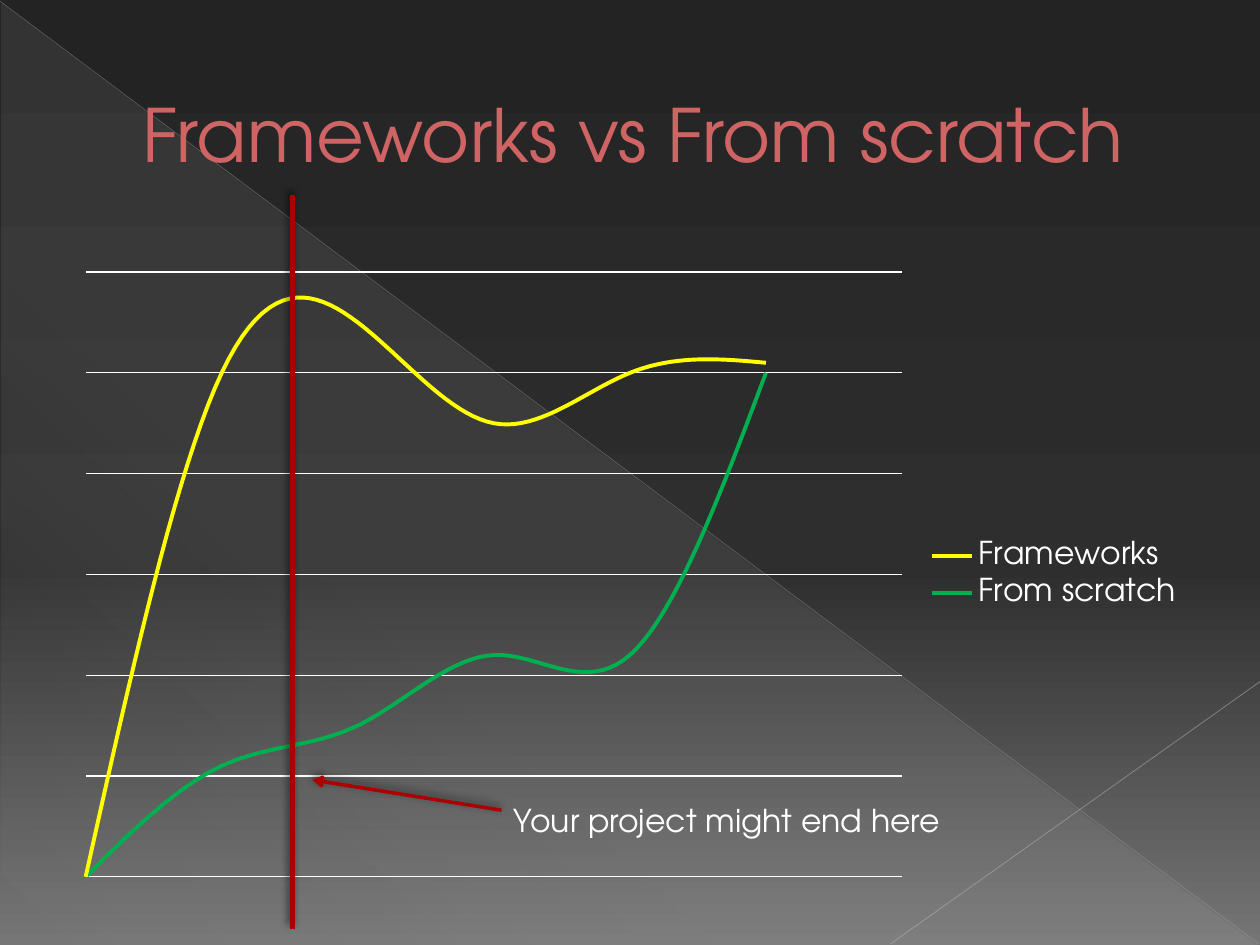
from lxml import etree
from pptx import Presentation
from pptx.chart.data import XyChartData
from pptx.dml.color import RGBColor
from pptx.enum.chart import XL_CHART_TYPE, XL_LEGEND_POSITION
from pptx.enum.shapes import MSO_CONNECTOR, MSO_SHAPE
from pptx.enum.text import MSO_ANCHOR, MSO_AUTO_SIZE
from pptx.oxml.ns import qn
from pptx.util import Inches, Pt

SMOOTH_SCATTER = XL_CHART_TYPE.XY_SCATTER_SMOOTH_NO_MARKERS
LEGEND_RIGHT = XL_LEGEND_POSITION.RIGHT
STRAIGHT = MSO_CONNECTOR.STRAIGHT
RIGHT_TRIANGLE = MSO_SHAPE.RIGHT_TRIANGLE
MIDDLE = MSO_ANCHOR.MIDDLE
FIT_TEXT = MSO_AUTO_SIZE.SHAPE_TO_FIT_TEXT
FONT = "TeX Gyre Adventor"
WHITE = "FFFFFF"
RED = "AD0101"
SERIES = [
    ("Frameworks", "FFFF00", [0, 100, 110, 90, 100, 102]),
    ("From scratch", "00B050", [0, 22, 30, 44, 44, 100]),
]


def color(hex_string):
    """Return the colour for a hex string."""
    return RGBColor.from_string(hex_string)


def add_element(parent, tag, **attributes):
    """Append an XML element with the given attributes."""
    values = {name: str(value) for name, value in attributes.items()}
    return etree.SubElement(parent, qn(tag), values)


def add_color(parent, hex_string, opacity):
    """Append a colour with an opacity in percent."""
    element = add_element(parent, "a:srgbClr", val=hex_string)
    add_element(element, "a:alpha", val=opacity * 1000)


def set_gradient(fill, element, stops, angle):
    """Fill with a linear gradient of (position, colour, opacity) stops."""
    fill.solid()
    solid = element.find(".//" + qn("a:solidFill"))
    gradient = etree.Element(qn("a:gradFill"), rotWithShape="1")
    stop_list = add_element(gradient, "a:gsLst")
    for position, hex_string, opacity in stops:
        stop = add_element(stop_list, "a:gs", pos=position * 1000)
        add_color(stop, hex_string, opacity)
    add_element(gradient, "a:lin", ang=angle * 60000, scaled=0)
    solid.getparent().replace(solid, gradient)


def add_line(shapes, start, end, hex_string, width, opacity=100, arrow=False, shadow=None):
    """Add a straight line with an optional arrowhead and shadow."""
    points = [Inches(value) for value in (*start, *end)]
    connector = shapes.add_connector(STRAIGHT, *points)
    connector.line.color.rgb = color(hex_string)
    connector.line.width = Pt(width)
    properties = connector._element.spPr
    line = properties.find(qn("a:ln"))
    add_element(line.find(".//" + qn("a:srgbClr")), "a:alpha", val=opacity * 1000)
    if arrow:
        add_element(line, "a:tailEnd", type="arrow")
    effects = add_element(properties, "a:effectLst")
    if shadow:
        shadow_opacity, blur, distance = shadow
        outer = add_element(effects, "a:outerShdw", blurRad=Pt(blur), dist=Pt(distance),
                            dir=245 * 60000, rotWithShape=0)
        add_color(outer, "000000", shadow_opacity)


def add_text(shapes, box, text, size, hex_string, wrap):
    """Add a one-paragraph text box and return its frame."""
    shape = shapes.add_textbox(*[Inches(value) for value in box])
    frame = shape.text_frame
    frame.word_wrap = wrap
    paragraph = frame.paragraphs[0]
    paragraph.text = text
    paragraph.font.name = FONT
    paragraph.font.size = Pt(size)
    paragraph.font.color.rgb = color(hex_string)
    return frame


def add_backdrop(slide):
    """Draw the background gradient, the triangle and the diagonal lines."""
    stops = [(0, "232323", 100), (60, "2E2E2E", 100), (100, "757575", 100)]
    set_gradient(slide.background.fill, slide.element, stops, 90)
    triangle = slide.shapes.add_shape(
        RIGHT_TRIANGLE, Inches(0.01), Inches(0.02), Inches(9.98), Inches(7.48))
    triangle.shadow.inherit = False
    triangle.line.fill.background()
    stops = [(0, "DEDEE0", 10), (70, "DEDEE0", 8), (100, "DEDEE0", 1)]
    set_gradient(triangle.fill, triangle._element, stops, 133)
    add_line(slide.shapes, (0, 0.01), (9.99, 7.49), "B6B6B6", 0.39, opacity=35)
    add_line(slide.shapes, (10, 5.41), (7.07, 7.49), "BEBEBE", 0.47, opacity=45)


def add_title(slide):
    """Add the indented slide title."""
    frame = add_text(slide.shapes, (0.5, 0.29, 9, 1.53),
                     "Frameworks vs From scratch", 42, "D06464", True)
    frame.vertical_anchor = MIDDLE
    frame.paragraphs[0]._p.get_or_add_pPr().set("marL", str(Inches(0.53)))


def set_plot_layout(chart, **fractions):
    """Fix the inner plot area as fractions of the chart."""
    plot_area = chart._chartSpace.chart.plotArea
    for old_layout in plot_area.findall(qn("c:layout")):
        plot_area.remove(old_layout)
    layout = etree.Element(qn("c:layout"))
    manual = add_element(layout, "c:manualLayout")
    add_element(manual, "c:layoutTarget", val="inner")
    add_element(manual, "c:xMode", val="edge")
    add_element(manual, "c:yMode", val="edge")
    for name, value in fractions.items():
        add_element(manual, "c:" + name, val=value)
    plot_area.insert(0, layout)


def add_progress_chart(slide):
    """Add the smooth scatter chart of the two approaches."""
    data = XyChartData()
    for name, _, values in SERIES:
        series_data = data.add_series(name)
        for x, y in enumerate(values):
            series_data.add_data_point(x, y)
    chart = slide.shapes.add_chart(
        SMOOTH_SCATTER, Inches(0.5), Inches(2.06), Inches(9), Inches(5), data).chart
    chart.has_title = False
    chart.font.name = FONT
    chart.font.size = Pt(18)
    chart.font.color.rgb = color(WHITE)
    chart.has_legend = True
    chart.legend.position = LEGEND_RIGHT
    chart.legend.include_in_layout = False
    for axis, maximum, step in ((chart.category_axis, 6, 1), (chart.value_axis, 120, 20)):
        axis.minimum_scale = 0
        axis.maximum_scale = maximum
        axis.major_unit = step
        axis.visible = False
    chart.category_axis.has_major_gridlines = False
    chart.value_axis.has_major_gridlines = True
    grid_line = chart.value_axis.major_gridlines.format.line
    grid_line.color.rgb = color(WHITE)
    grid_line.width = Pt(0.75)
    chart.plots[0].vary_by_categories = False
    for series, (_, hex_string, _) in zip(chart.plots[0].series, SERIES):
        series.format.line.color.rgb = color(hex_string)
        series.format.line.width = Pt(2.25)
        smooth = series._element.find(qn("c:smooth"))
        if smooth is None:
            smooth = add_element(series._element, "c:smooth")
        smooth.set("val", "1")
    set_plot_layout(chart, x=0.02, y=0.02, w=0.72, h=0.96)


def add_end_marker(slide):
    """Add the grouped marker line, its arrow and its note."""
    shapes = slide.shapes.add_group_shape().shapes
    add_line(shapes, (2.32, 1.55), (2.32, 7.37), RED, 3, shadow=(60, 4, 3))
    add_line(shapes, (3.98, 6.43), (2.48, 6.19), RED, 2, arrow=True, shadow=(50, 5, 2))
    note = add_text(shapes, (3.98, 6.31, 3.65, 0.4),
                    "Your project might end here", 18, WHITE, False)
    note.auto_size = FIT_TEXT


def main():
    """Build and save the slide."""
    presentation = Presentation()
    presentation.slide_width = Inches(10)
    presentation.slide_height = Inches(7.5)
    slide = presentation.slides.add_slide(presentation.slide_layouts[6])
    add_backdrop(slide)
    add_title(slide)
    add_progress_chart(slide)
    add_end_marker(slide)
    presentation.save("out.pptx")


if __name__ == "__main__":
    main()
